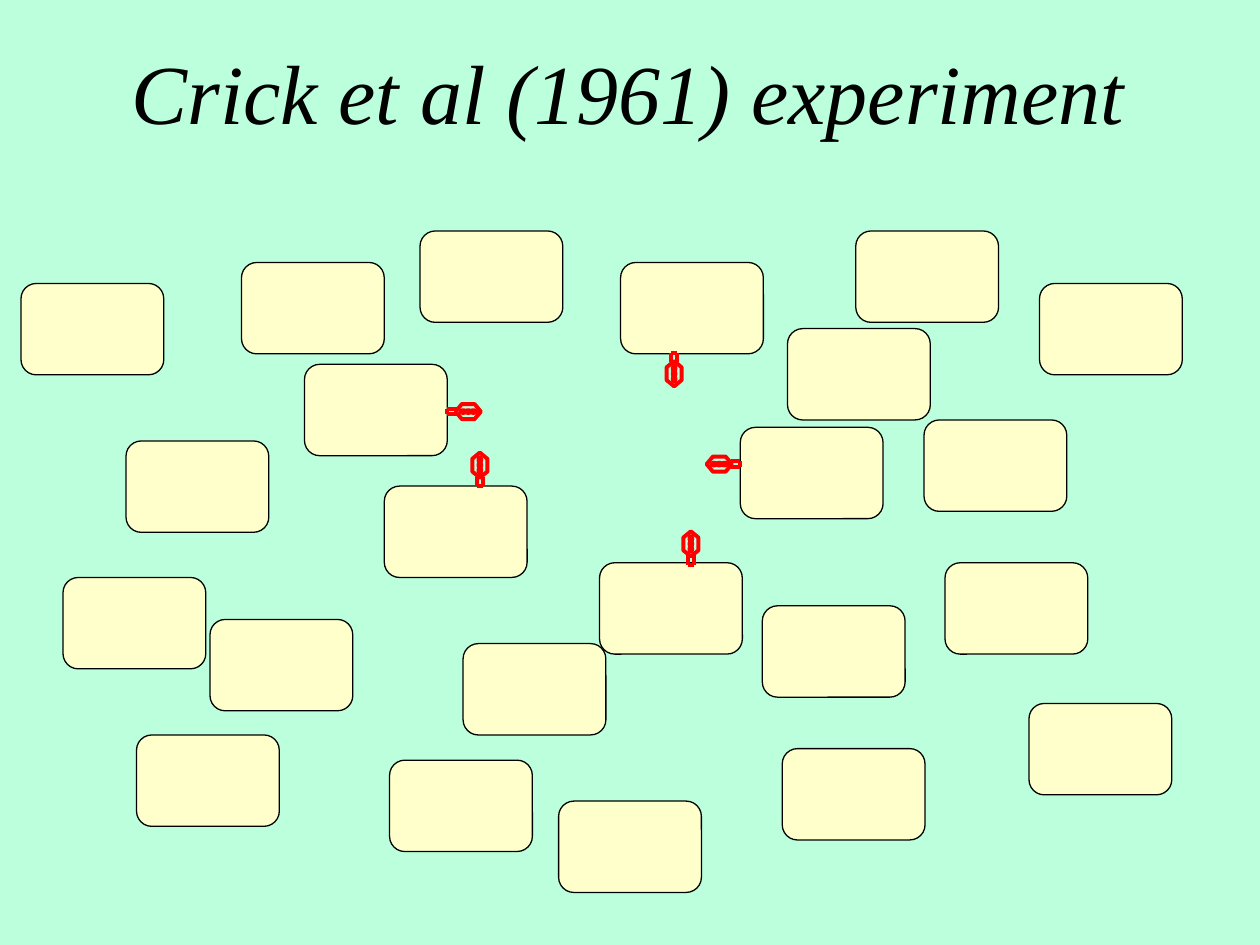
import math

import pptx
import pptx.dml.color
import pptx.enum.shapes
import pptx.enum.text
import pptx.oxml
import pptx.util

RGB = pptx.dml.color.RGBColor
SHAPE = pptx.enum.shapes.MSO_SHAPE

MINT = RGB(0xBB, 0xFF, 0xDD)
CREAM = RGB(0xFF, 0xFF, 0xCC)
BLACK = RGB(0, 0, 0)
RED = RGB(0xFF, 0, 0)

# The slide is a grid of 120 columns and 90 rows, 12 to the inch.
CELL = (13.6, 8.7)
CELLS = [
    (70.5, 40.7), (57.1, 53.6), (72.6, 57.7), (44.1, 61.3), (36.6, 46.3),
    (29, 34.7), (59.1, 25), (75, 31.3), (40, 22), (23, 25), (20, 59),
    (12, 42), (88, 40), (2, 27), (81.5, 22), (98, 67), (74.5, 71.3),
    (53.2, 76.3), (90, 53.6), (99, 27), (37.1, 72.4), (6, 55), (13, 70),
]
# Head centre, and the turn in degrees from pointing right
PHAGES = [
    (68.5, 44.2, 180), (65.8, 51.8, 270), (45.7, 44.3, 270),
    (44.6, 39.2, 0), (64.2, 35.6, 90),
]
HEAD = (2.4, 1.44)
DOT = (0.5, 0.25)
GAP = 0.5
TAIL = (-1.1, -2)
HALF = 0.27


def grid(n):
    return pptx.util.Inches(n / 12)


def style(item, values):
    for name, value in values.items():
        setattr(item, name, value)


def outline(line, color, width):
    line.color.rgb = color
    line.width = pptx.util.Pt(width)


def add_cell(slide, left, top):
    cell = slide.shapes.add_shape(
        SHAPE.ROUNDED_RECTANGLE, *map(grid, (left, top, *CELL)))
    cell.shadow.inherit = False
    cell.fill.solid()
    cell.fill.fore_color.rgb = CREAM
    outline(cell.line, BLACK, 0.75)


def add_part(group, kind, mid, size, turn):
    """Add an unfilled red shape centred on mid."""
    left, top = (m - s / 2 for m, s in zip(mid, size))
    part = group.shapes.add_shape(kind, *map(grid, (left, top, *size)))
    part.rotation = turn
    part.shadow.inherit = False
    part.fill.background()
    outline(part.line, RED, 2.25)
    return part


def add_line(group, start, end):
    line = group.shapes.add_connector(
        pptx.enum.shapes.MSO_CONNECTOR.STRAIGHT, *map(grid, start + end))
    outline(line.line, RED, 2.25)
    props = line._element.spPr
    props.append(pptx.oxml.parse_xml(
        '<a:effectLst xmlns:a='
        '"http://schemas.openxmlformats.org/drawingml/2006/main"/>'))


def add_phage(slide, x, y, turn):
    """Add a head with three dots and a tail, turned about the head."""
    cos, sin = math.cos(math.radians(turn)), math.sin(math.radians(turn))

    def spot(along, off=0):
        return x + along * cos - off * sin, y + along * sin + off * cos

    group = slide.shapes.add_group_shape()
    head = add_part(group, SHAPE.HEXAGON, (x, y), HEAD, turn)
    head.adjustments[0] = 0.41
    for step in (-1, 0, 1):
        add_part(group, SHAPE.OVAL, spot(step * GAP), DOT, turn)
    near, far = TAIL
    for side in (-HALF, HALF):
        add_line(group, spot(near, side), spot(far, side))
    add_line(group, spot(far, -HALF), spot(far, HALF))


def add_title(slide, text):
    box = slide.shapes.add_textbox(*map(grid, (0.84, 2.28, 118, 10.8)))
    style(box.text_frame, {
        "word_wrap": True,
        "margin_top": grid(1.56),
        "margin_bottom": 0,
    })
    para = box.text_frame.paragraphs[0]
    para.alignment = pptx.enum.text.PP_ALIGN.CENTER
    run = para.add_run()
    run.text = text
    style(run.font, {
        "name": "Times New Roman",
        "size": pptx.util.Pt(48),
        "italic": True,
    })
    run.font.color.rgb = BLACK


def main():
    deck = pptx.Presentation()
    style(deck, {"slide_width": grid(120), "slide_height": grid(90)})
    slide = deck.slides.add_slide(deck.slide_layouts[6])
    slide.background.fill.solid()
    slide.background.fill.fore_color.rgb = MINT
    for cell in CELLS:
        add_cell(slide, *cell)
    for phage in PHAGES:
        add_phage(slide, *phage)
    add_title(slide, "Crick et al (1961) experiment")
    deck.save("out.pptx")


if __name__ == "__main__":
    main()
